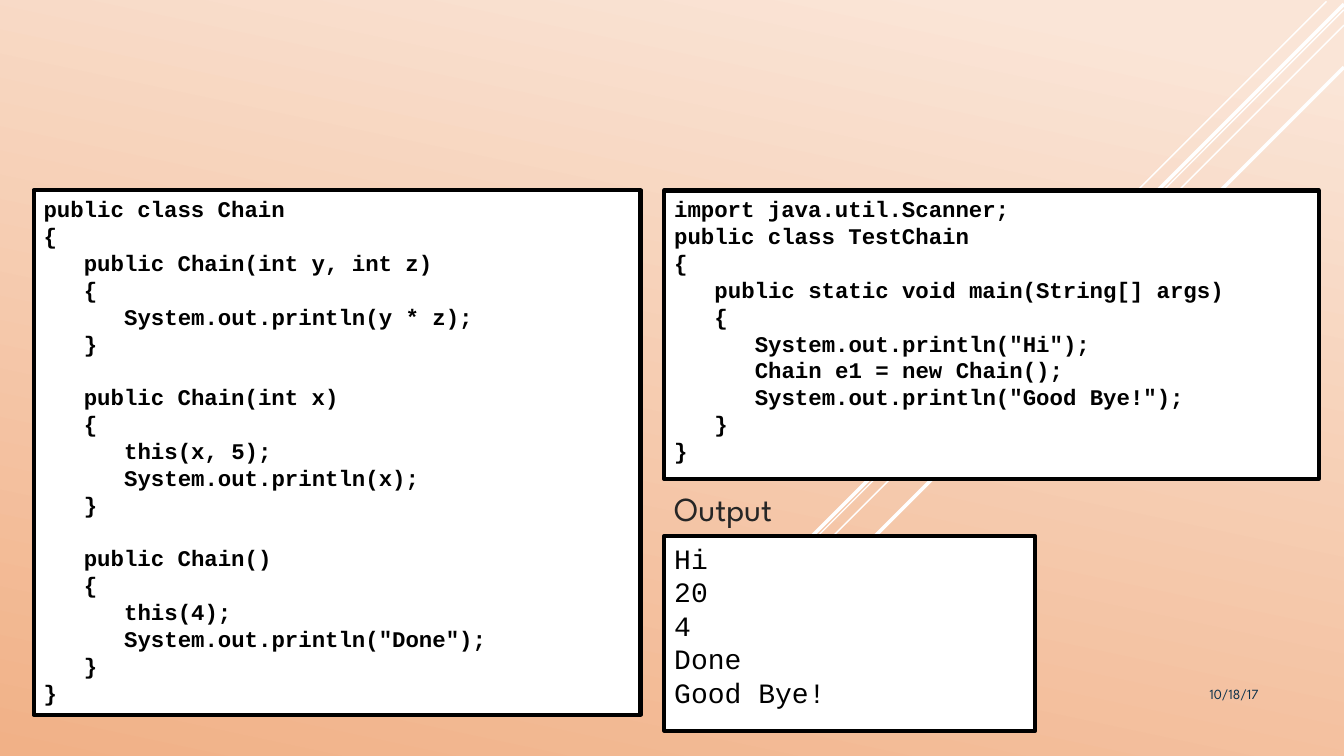
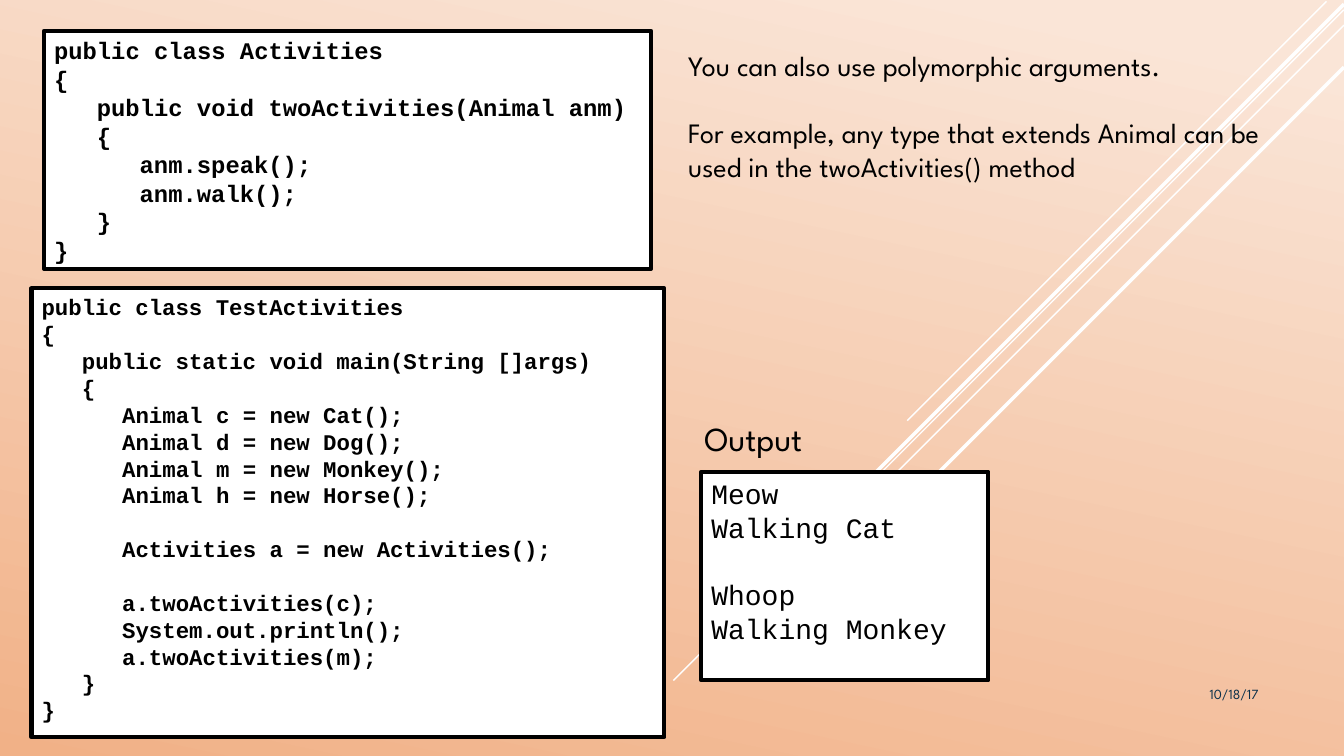
from lxml import etree
from pptx import Presentation
from pptx.dml.color import RGBColor
from pptx.enum.shapes import MSO_CONNECTOR, MSO_SHAPE
from pptx.enum.text import MSO_ANCHOR, MSO_AUTO_SIZE, PP_ALIGN
from pptx.oxml.ns import qn
from pptx.util import Pt

RECT = MSO_SHAPE.RECTANGLE
STRAIGHT = MSO_CONNECTOR.STRAIGHT
TOP = MSO_ANCHOR.TOP
FIXED = MSO_AUTO_SIZE.NONE
LEFT, RIGHT = PP_ALIGN.LEFT, PP_ALIGN.RIGHT

MONO, SANS = "Courier New", "League Spartan"
BLACK, WHITE, GREY, NAVY = "000000", "FFFFFF", "262626", "0A304A"
PALE, PEACH = "FAE5D7", "F1B187"
LEAD = 1.2  # line height per point of text size
CHAR = 0.6  # width of one fixed-pitch letter per point of text size

# Diagonal rays: start x, start y, run, weight
RAYS = [
    (947.5, 1, 299.5, 1),
    (960, 7, 479, 1),
    (960, 18, 390, 1),
    (960, 3, 382, 2.5),
    (960, 48, 342, 2.5),
]

CHAIN = """public class Chain
{
   public Chain(int y, int z)
   {
      System.out.println(y * z);
   }

   public Chain(int x)
   {
      this(x, 5);
      System.out.println(x);
   }

   public Chain()
   {
      this(4);
      System.out.println("Done");
   }
}"""

CHAIN_TEST = """import java.util.Scanner;
public class TestChain
{
   public static void main(String[] args)
   {
      System.out.println("Hi");
      Chain e1 = new Chain();
      System.out.println("Good Bye!");
   }
}"""

CHAIN_OUT = """Hi
20
4
Done
Good Bye!"""

ACTS = """public class Activities
{
   public void twoActivities(Animal anm)
   {
      anm.speak();
      anm.walk();
   }
}"""

ACTS_TEST = """public class TestActivities
{
   public static void main(String []args)
   {
      Animal c = new Cat();
      Animal d = new Dog();
      Animal m = new Monkey();
      Animal h = new Horse();

      Activities a = new Activities();

      a.twoActivities(c);
      System.out.println();
      a.twoActivities(m);
   }
}"""

ACTS_OUT = """Meow
Walking Cat

Whoop
Walking Monkey"""

ACTS_NOTE = """You can also use polymorphic arguments.

For example, any type that extends Animal can be used in the twoActivities() method"""


def tint(color, code):
    color.rgb = RGBColor.from_string(code)


class Deck:
    """The shared style and the slide being filled."""

    def __init__(self):
        self.prs = Presentation()
        self.prs.slide_width, self.prs.slide_height = Pt(960), Pt(540)
        self.slide = None
        fill = self.prs.slide_master.background.fill
        fill.gradient()
        fill.gradient_angle = 258
        for stop, place, code in zip(fill.gradient_stops, (0.07, 1), (PALE, PEACH)):
            stop.position = place
            tint(stop.color, code)

    def new(self, layout):
        """Start a slide with the rays and the date."""
        self.slide = self.prs.slides.add_slide(self.prs.slide_layouts[layout])
        for ray in RAYS:
            self.ray(*ray)
        self.label((780, 486, 126, 29), "10/18/17", 10, NAVY, RIGHT)

    def ray(self, x, y, run, weight):
        line = self.slide.shapes.add_connector(
            STRAIGHT, Pt(x), Pt(y), Pt(x - run), Pt(y + run))
        tint(line.line.color, WHITE)
        line.line.width = Pt(weight)
        etree.SubElement(line.element.spPr, qn("a:effectLst"))

    def text(self, shape, words, size, font, code=BLACK, bold=False, align=LEFT):
        """Turn leading spaces into indents and empty lines into space before."""
        frame = shape.text_frame
        frame.word_wrap = True
        frame.auto_size = FIXED
        frame.vertical_anchor = TOP
        para, gap = frame.paragraphs[0], 0
        for row, line in enumerate(words.split("\n")):
            if not line:
                gap += LEAD * size
                continue
            if row:
                para = frame.add_paragraph()
            bare = line.lstrip()
            inset = (len(line) - len(bare)) * CHAR * size
            props = para._p.get_or_add_pPr()
            props.set("marL", str(int(Pt(inset))))
            props.set("indent", "0")
            para.alignment = align
            para.line_spacing = Pt(LEAD * size)
            para.space_before, para.space_after = Pt(gap), Pt(0)
            gap = 0
            run = para.add_run()
            run.text = bare
            run.font.name, run.font.size, run.font.bold = font, Pt(size), bold
            tint(run.font.color, code)

    def label(self, area, words, size, code=BLACK, align=LEFT):
        box = self.slide.shapes.add_textbox(*map(Pt, area))
        self.text(box, words, size, SANS, code, align=align)

    def frame(self, shape):
        """Give a shape the white panel look."""
        shape.fill.solid()
        tint(shape.fill.fore_color, WHITE)
        tint(shape.line.color, BLACK)
        shape.line.width = Pt(3)

    def panel(self, area, words, size, bold=True):
        box = self.slide.shapes.add_shape(RECT, *map(Pt, area))
        box.shadow.inherit = False
        self.frame(box)
        self.text(box, words, size, MONO, bold=bold)

    def body(self, area, words, size):
        """Fill the subtitle placeholder as a panel and drop the empty title."""
        title = self.slide.shapes.title.element
        title.getparent().remove(title)
        box = self.slide.placeholders[1]
        box.left, box.top, box.width, box.height = map(Pt, area)
        self.frame(box)
        self.text(box, words, size, MONO, bold=True)


def main():
    deck = Deck()

    deck.new(6)
    deck.panel((24, 136, 433.5, 374.5), CHAIN, 16)
    deck.panel((474.5, 136, 467.5, 206), CHAIN_TEST, 16)
    deck.label((474.5, 345, 120, 39), "Output", 24, GREY)
    deck.panel((474.5, 383, 265, 139), CHAIN_OUT, 20, bold=False)

    deck.new(0)
    deck.body((22.5, 206, 452, 320.5), ACTS_TEST, 16)
    deck.panel((31.5, 22, 433.5, 170), ACTS, 17)
    deck.label((484.5, 31, 456.5, 126), ACTS_NOTE, 20)
    deck.label((496, 295, 98, 36), "Output", 24)
    deck.panel((501, 337, 205, 149), ACTS_OUT, 20, bold=False)

    deck.prs.save("out.pptx")


if __name__ == "__main__":
    main()
